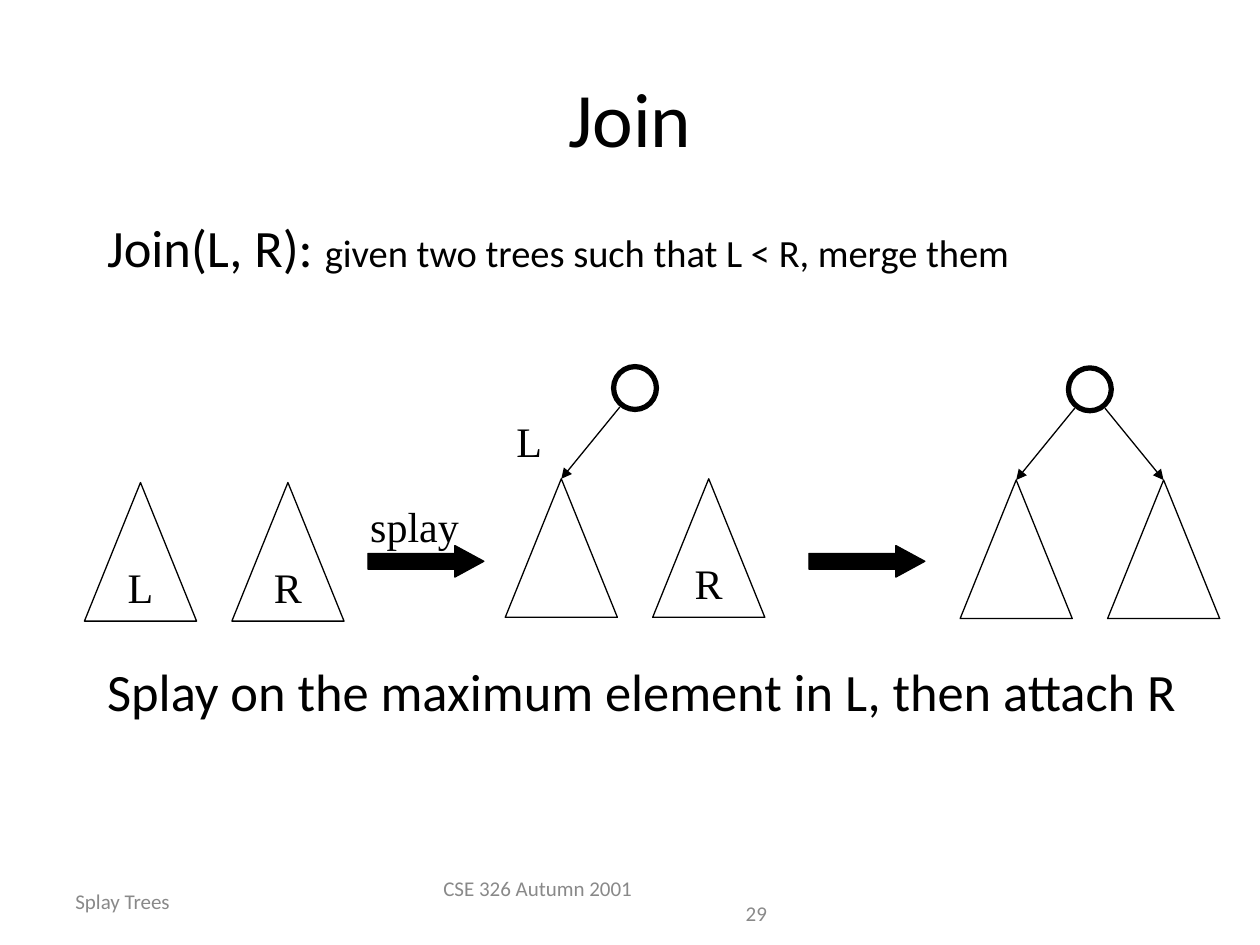
from dataclasses import dataclass
from typing import Optional

import pptx
import pptx.dml.color
import pptx.enum.shapes
import pptx.enum.text
import pptx.oxml
import pptx.oxml.ns
import pptx.util
from pptx.util import Inches

BLACK = pptx.dml.color.RGBColor(0x00, 0x00, 0x00)
GRAY = pptx.dml.color.RGBColor(0x89, 0x89, 0x89)
SANS = "Calibri"
SERIF = "Times New Roman"
SHAPES = pptx.enum.shapes.MSO_SHAPE
ANCHOR = pptx.enum.text.MSO_ANCHOR
AUTO_SIZE = pptx.enum.text.MSO_AUTO_SIZE
ALIGN = pptx.enum.text.PP_ALIGN

TRIANGLE_WIDTH = 0.89
TRIANGLE_HEIGHT = 1.1
TRIANGLE_PITCH = 1.17
ROOT_SIZE = 0.34
ROOT_OFFSET = 0.86
ROOT_RISE = 0.89
LINK_SPREAD = 0.12
LINK_DROP = 0.32


@dataclass(frozen=True)
class TreePair:
    left: float
    top: float
    labels: tuple[str, str]
    children: int = 0


@dataclass(frozen=True)
class Label:
    text: str
    left: float
    top: float
    width: float


TREE_PAIRS = (
    TreePair(0.67, 3.83, ("L", "R")),
    TreePair(4.01, 3.8, ("", "R"), children=1),
    TreePair(7.62, 3.81, ("", ""), children=2),
)
ARROW_LEFTS = (2.92, 6.42)
LABELS = (Label("splay", 2.84, 3.92, 0.94), Label("L", 4, 3.25, 0.4))


def add_run(paragraph, text: str, size: float, font: str, color=BLACK) -> None:
    run = paragraph.add_run()
    run.text = text
    run.font.size = pptx.util.Pt(size)
    run.font.name = font
    run.font.color.rgb = color


def place(shape, left: float, top: float, width: float, height: float) -> None:
    shape.left, shape.top = Inches(left), Inches(top)
    shape.width, shape.height = Inches(width), Inches(height)


def set_indent(paragraph, margin: float) -> None:
    properties = paragraph._p.get_or_add_pPr()
    properties.set("marL", str(Inches(margin)))
    properties.set("indent", "0")


def add_outline(slide, kind, left: float, top: float, width: float, height: float,
                weight: float = 0.75, fill: Optional[pptx.dml.color.RGBColor] = None):
    shape = slide.shapes.add_shape(
        kind, Inches(left), Inches(top), Inches(width), Inches(height))
    shape.shadow.inherit = False
    if fill is None:
        shape.fill.background()
    else:
        shape.fill.solid()
        shape.fill.fore_color.rgb = fill
    shape.line.color.rgb = BLACK
    shape.line.width = pptx.util.Pt(weight)
    return shape


def add_triangle(slide, left: float, top: float, label: str):
    triangle = add_outline(
        slide, SHAPES.ISOSCELES_TRIANGLE, left, top, TRIANGLE_WIDTH, TRIANGLE_HEIGHT)
    if label:
        frame = triangle.text_frame
        frame.word_wrap = False
        frame.vertical_anchor = ANCHOR.MIDDLE
        frame.paragraphs[0].alignment = ALIGN.CENTER
        add_run(frame.paragraphs[0], label, 24, SERIF)
    return triangle


def add_link(slide, left: float, top: float, triangle) -> None:
    link = slide.shapes.add_connector(
        pptx.enum.shapes.MSO_CONNECTOR.STRAIGHT,
        Inches(left), Inches(top), triangle.left, triangle.top)
    link.end_connect(triangle, 0)
    link.line.color.rgb = BLACK
    link.line.width = pptx.util.Pt(0.75)
    arrowhead = pptx.oxml.parse_xml(
        f'<a:tailEnd {pptx.oxml.ns.nsdecls("a")} type="triangle"/>')
    link.line._get_or_add_ln().append(arrowhead)
    link._element.spPr.append(
        pptx.oxml.parse_xml(f'<a:effectLst {pptx.oxml.ns.nsdecls("a")}/>'))


def add_tree_pair(slide, pair: TreePair) -> None:
    triangles = [
        add_triangle(slide, pair.left + index * TRIANGLE_PITCH, pair.top, label)
        for index, label in enumerate(pair.labels)
    ]
    if not pair.children:
        return
    root_left = pair.left + ROOT_OFFSET
    root_top = pair.top - ROOT_RISE
    add_outline(slide, SHAPES.OVAL, root_left, root_top, ROOT_SIZE, ROOT_SIZE, weight=3)
    center = root_left + ROOT_SIZE / 2
    for side, triangle in zip((-1, 1), triangles[:pair.children]):
        add_link(slide, center + side * LINK_SPREAD, root_top + LINK_DROP, triangle)


def add_arrow(slide, left: float) -> None:
    arrow = add_outline(slide, SHAPES.RIGHT_ARROW, left, 4.33, 0.92, 0.25, fill=BLACK)
    arrow.adjustments[1] = 0.92


def add_label(slide, label: Label) -> None:
    box = slide.shapes.add_textbox(
        Inches(label.left), Inches(label.top), Inches(label.width), Inches(0.5))
    box.text_frame.word_wrap = False
    box.text_frame.auto_size = AUTO_SIZE.NONE
    add_run(box.text_frame.paragraphs[0], label.text, 24, SERIF)


def add_footer(slide, left: float, width: float, lines: tuple[tuple[str, float], ...]) -> None:
    box = slide.shapes.add_textbox(Inches(left), Inches(6.95), Inches(width), Inches(0.4))
    frame = box.text_frame
    frame.word_wrap = True
    frame.vertical_anchor = ANCHOR.MIDDLE
    for index, (text, margin) in enumerate(lines):
        paragraph = frame.add_paragraph() if index else frame.paragraphs[0]
        set_indent(paragraph, margin)
        add_run(paragraph, text, 12, SANS, GRAY)


def fill_title(slide) -> None:
    title = slide.shapes.title
    place(title, 0.5, 0.3, 9, 1.25)
    title.text_frame.vertical_anchor = ANCHOR.MIDDLE
    paragraph = title.text_frame.paragraphs[0]
    paragraph.alignment = ALIGN.CENTER
    add_run(paragraph, "Join", 44, SANS)


def fill_body(slide) -> None:
    body = slide.placeholders[1]
    place(body, 0.75, 1.75, 9.08, 4.5)
    frame = body.text_frame
    frame.auto_size = AUTO_SIZE.NONE
    definition = frame.paragraphs[0]
    method = frame.add_paragraph()
    for paragraph, space in ((definition, 0), (method, 225)):
        set_indent(paragraph, 0)
        paragraph.line_spacing = 0.8
        paragraph.space_before = pptx.util.Pt(space)
        paragraph._p.get_or_add_pPr().append(
            pptx.oxml.parse_xml(f'<a:buNone {pptx.oxml.ns.nsdecls("a")}/>'))
    add_run(definition, "Join(L, R): ", 30, SANS)
    add_run(definition, "given two trees such that L < R, merge them", 22, SANS)
    add_run(method, "Splay on the maximum element in L, then attach R", 30, SANS)


def main() -> None:
    presentation = pptx.Presentation()
    presentation.slide_width = Inches(10)
    presentation.slide_height = Inches(7.5)
    slide = presentation.slides.add_slide(presentation.slide_layouts[1])
    add_footer(slide, 0.5, 2.33, (("Splay Trees", 0),))
    add_footer(slide, 3.42, 3.17, (("CSE 326 Autumn 2001", 0), ("29", 2.4)))
    fill_title(slide)
    fill_body(slide)
    for pair in TREE_PAIRS:
        add_tree_pair(slide, pair)
    for left in ARROW_LEFTS:
        add_arrow(slide, left)
    for label in LABELS:
        add_label(slide, label)
    presentation.save("out.pptx")


if __name__ == "__main__":
    main()
